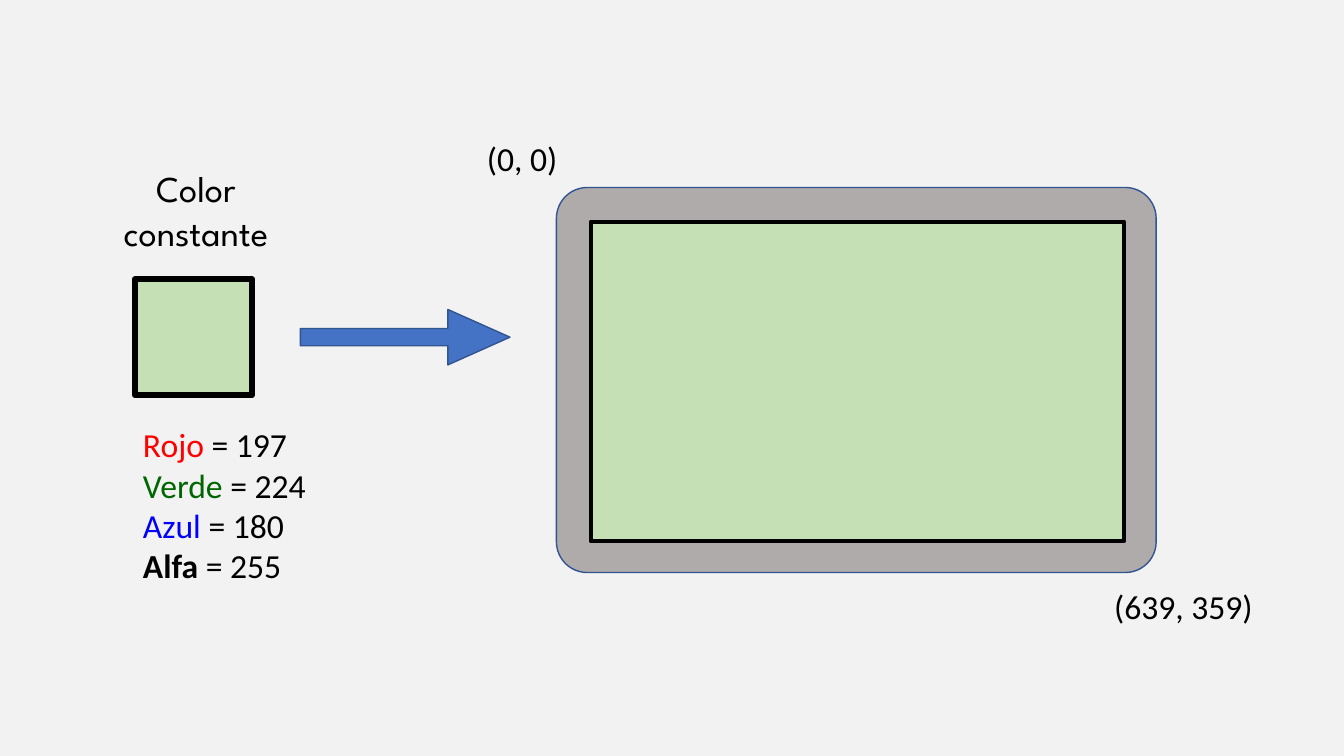
import pptx
import pptx.util
import pptx.dml.color
import pptx.enum.shapes
import pptx.enum.text

COLS, ROWS = 80, 45
WIDTH, HEIGHT = pptx.util.Inches(13.33), pptx.util.Inches(7.5)
SHAPE = pptx.enum.shapes.MSO_SHAPE
ALIGN = pptx.enum.text.PP_ALIGN
BLACK, GREEN, BLUE_LINE = "000000", "C5E0B4", "325491"


def rgb(value):
    return pptx.dml.color.RGBColor.from_string(value)


def place(col, row, cols, rows):
    return (round(col * WIDTH / COLS), round(row * HEIGHT / ROWS),
            round(cols * WIDTH / COLS), round(rows * HEIGHT / ROWS))


def add_box(s, kind, cell, fill, line, weight, adjustments=()):
    sp = s.shapes.add_shape(kind, *place(*cell))
    sp.shadow.inherit = False
    sp.fill.solid()
    sp.fill.fore_color.rgb = rgb(fill)
    sp.line.color.rgb = rgb(line)
    sp.line.width = pptx.util.Pt(weight)
    for i, value in enumerate(adjustments):
        sp.adjustments[i] = value


def add_run(p, text, size=24, font="Calibri", color=BLACK, bold=False):
    r = p.add_run()
    r.text = text
    r.font.size = pptx.util.Pt(size)
    r.font.name = font
    r.font.bold = bold
    r.font.color.rgb = rgb(color)


def add_text(s, cell, lines, align=ALIGN.CENTER, **style):
    tf = s.shapes.add_textbox(*place(*cell)).text_frame
    tf.word_wrap = True
    for i, runs in enumerate(lines):
        p = tf.add_paragraph() if i else tf.paragraphs[0]
        p.alignment = align
        for text, own in runs:
            add_run(p, text, **{**style, **own})


def main():
    prs = pptx.Presentation()
    prs.slide_width, prs.slide_height = WIDTH, HEIGHT
    s = prs.slides.add_slide(prs.slide_layouts[6])
    s.background.fill.solid()
    s.background.fill.fore_color.rgb = rgb("F2F2F2")

    add_box(s, SHAPE.ROUNDED_RECTANGLE, (33.12, 11.16, 35.7, 22.92),
            "AFABAB", BLUE_LINE, 1, [0.08])
    add_box(s, SHAPE.RECTANGLE, (35.16, 13.2, 31.74, 19.02), GREEN, BLACK, 3)
    add_box(s, SHAPE.RECTANGLE, (8.04, 16.62, 6.96, 6.9), GREEN, BLACK, 4.5)
    add_box(s, SHAPE.RIGHT_ARROW, (17.88, 18.42, 12.48, 3.3),
            "4472C4", BLUE_LINE, 1, [0.31, 1.12])

    add_text(s, (28.26, 7.92, 5.64, 3), [[("(0, 0)", {})]])
    add_text(s, (65.04, 34.56, 10.8, 3), [[("(639, 359)", {})]])
    add_text(s, (4.74, 9.6, 13.86, 5.88),
             [[("Color", {})], [("constante", {})]],
             size=26, font="League Spartan")

    channels = [("Rojo", 197, {"color": "FF0000"}),
                ("Verde", 224, {"color": "006600"}),
                ("Azul", 180, {"color": "0000FF"}),
                ("Alfa", 255, {"bold": True})]
    add_text(s, (7.92, 24.96, 17.28, 10.32),
             [[(f"{name} ", style), (f"= {value}", {})]
              for name, value, style in channels], align=ALIGN.LEFT)

    prs.save("out.pptx")


if __name__ == "__main__":
    main()
